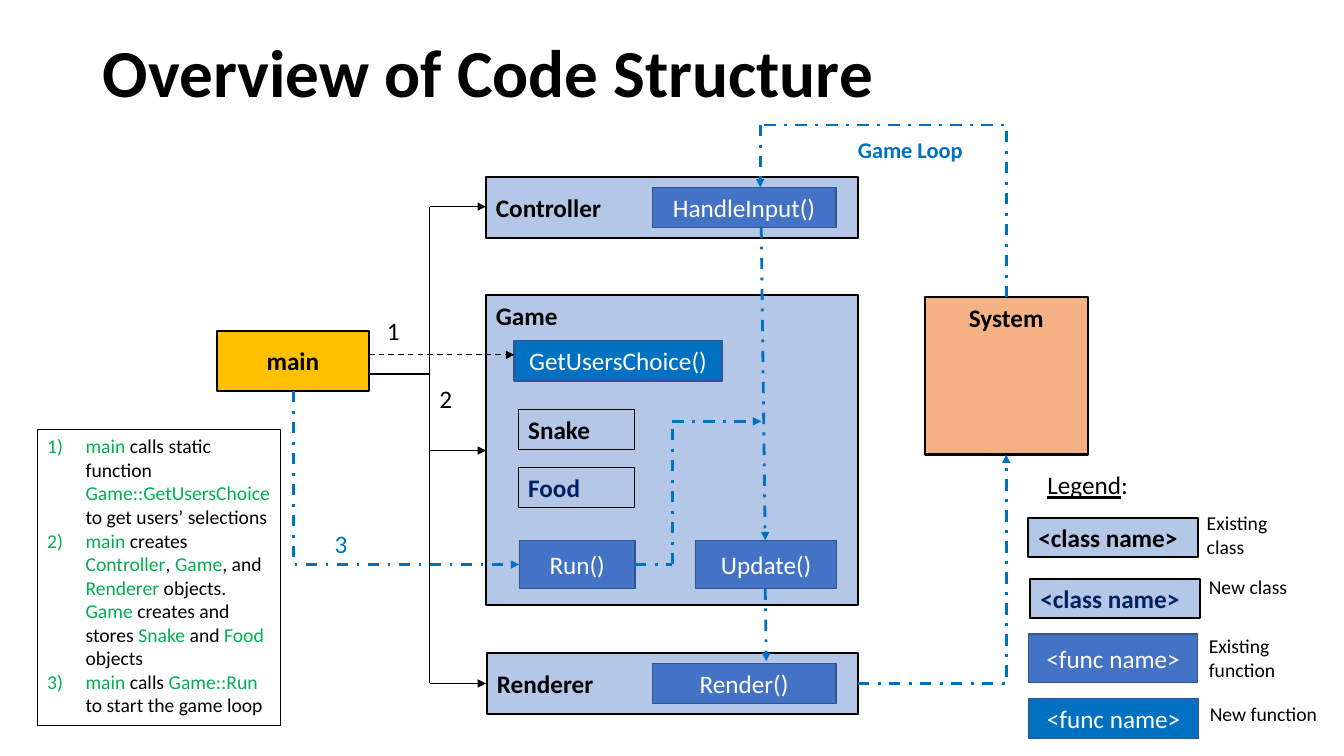
import dataclasses
import typing

import lxml.etree
import pptx
import pptx.dml.color
import pptx.enum.dml
import pptx.enum.shapes
import pptx.enum.text
import pptx.oxml.ns
import pptx.util

ALIGN = pptx.enum.text.PP_ALIGN
ANCHOR = pptx.enum.text.MSO_ANCHOR
DASH = pptx.enum.dml.MSO_LINE
SHAPE = pptx.enum.shapes.MSO_SHAPE.RECTANGLE
LINK = pptx.enum.shapes.MSO_CONNECTOR.STRAIGHT
Point = tuple[float, float]


@dataclasses.dataclass(frozen=True)
class Theme:
    font: str = "Calibri"
    black: str = "000000"
    white: str = "FFFFFF"
    navy: str = "002060"
    blue: str = "0070C0"
    royal: str = "4472C4"
    edge: str = "325491"
    pale: str = "B4C7E7"
    gold: str = "FFC000"
    peach: str = "F4B183"
    green: str = "00B050"
    title: int = 48
    body: int = 18
    loop: int = 16
    note: int = 14


THEME = Theme()


@dataclasses.dataclass(frozen=True)
class Look:
    fill: str | None = None
    edge: str | None = None
    weight: float = 1
    ink: str = THEME.black
    size: int = THEME.body
    bold: bool = False
    mid: bool = False
    center: bool = False
    grow: bool = False


@dataclasses.dataclass(frozen=True)
class Box:
    text: str
    place: tuple[float, float, float, float]  # inches
    look: Look


@dataclasses.dataclass(frozen=True)
class Wire:
    start: Point
    end: Point
    ink: str = THEME.black
    weight: float = 1
    dash: typing.Any = None
    arrow: bool = True
    bend: str = ""  # "across" or "upright": the way the first leg runs


# Looks shared by the boxes
PLAIN = Look(grow=True)
CLASS = Look(THEME.pale, THEME.black, 1.5, bold=True, mid=True)
FRESH = dataclasses.replace(CLASS, ink=THEME.navy)
FUNC = Look(THEME.royal, THEME.edge, ink=THEME.white, mid=True, center=True)
ADDED = dataclasses.replace(FUNC, fill=THEME.blue)
PART = Look(edge=THEME.black, weight=0.75, bold=True, grow=True)
LABEL = Look(size=THEME.note, grow=True)

BOXES = [
    Box("Overview of Code Structure", (0.92, 0.4, 11.5, 0.6),
        Look(size=THEME.title, bold=True, mid=True)),
    # Classes and their functions
    Box("main", (2.15, 3.28, 1.51, 0.6),
        dataclasses.replace(CLASS, fill=THEME.gold, center=True)),
    Box("Controller", (4.82, 1.76, 3.69, 0.6), CLASS),
    Box("HandleInput()", (6.47, 1.86, 1.82, 0.4), FUNC),
    Box("Game", (4.82, 2.93, 3.69, 3.07), dataclasses.replace(CLASS, mid=False)),
    Box("Renderer", (4.83, 6.48, 3.68, 0.6), CLASS),
    Box("Render()", (6.47, 6.58, 1.82, 0.4), FUNC),
    Box("Snake", (5.14, 4.06, 1.15, 0.4), PART),
    Box("Food", (5.14, 4.64, 1.15, 0.4), dataclasses.replace(PART, ink=THEME.navy)),
    Box("Run()", (5.15, 5.36, 1.15, 0.48), FUNC),
    Box("Update()", (6.9, 5.36, 1.4, 0.48), FUNC),
    Box("GetUsersChoice()", (5.1, 3.38, 2.06, 0.4), ADDED),
    Box("System", (9.17, 2.95, 1.62, 1.56),
        dataclasses.replace(CLASS, fill=THEME.peach, mid=False, center=True)),
    # Step numbers and loop name
    Box("1", (3.74, 3.08, 0.24, 0.4), PLAIN),
    Box("2", (4.26, 3.75, 0.2, 0.4), PLAIN),
    Box("3", (3.22, 5.19, 0.2, 0.4), dataclasses.replace(PLAIN, ink=THEME.blue)),
    Box("Game Loop", (8.41, 1.3, 1.43, 0.37),
        Look(ink=THEME.blue, size=THEME.loop, bold=True, grow=True)),
    # Legend
    Box("<class name>", (10.2, 5.14, 1.68, 0.39), CLASS),
    Box("Existing class", (11.87, 5.02, 1.08, 0.57), LABEL),
    Box("<class name>", (10.22, 5.74, 1.68, 0.39), FRESH),
    Box("New class", (11.89, 5.65, 1.08, 0.34), LABEL),
    Box("<func name>", (10.2, 6.29, 1.68, 0.48), FUNC),
    Box("Existing function", (11.89, 6.24, 1.08, 0.57), LABEL),
    Box("<func name>", (10.2, 6.93, 1.69, 0.4), ADDED),
    Box("New function", (11.9, 6.91, 1.29, 0.34), LABEL),
]

FLOW = {"ink": THEME.blue, "weight": 2, "dash": DASH.DASH_DOT}
TRUNK = 4.26
WIRES = [
    # Calls from main
    Wire((3.66, 3.52), (5.1, 3.52), dash=DASH.DASH),
    Wire((3.66, 3.71), (TRUNK, 3.71), arrow=False),
    Wire((TRUNK, 2.05), (TRUNK, 6.78), arrow=False),
    *(Wire((TRUNK, y), (4.82, y)) for y in (2.05, 4.47, 6.78)),
    # Game loop
    Wire((6.3, 5.6), (6.67, 5.6), arrow=False, **FLOW),
    Wire((6.67, 5.6), (6.67, 4.18), arrow=False, **FLOW),
    Wire((6.67, 4.18), (7.55, 4.18), **FLOW),
    Wire((7.55, 2.25), (7.59, 5.36), **FLOW),
    Wire((7.59, 5.84), (7.6, 6.56), **FLOW),
    Wire((8.51, 6.78), (9.98, 4.51), bend="across", **FLOW),
    Wire((9.98, 2.95), (7.54, 1.24), bend="upright", arrow=False, **FLOW),
    Wire((7.54, 1.24), (7.54, 1.86), **FLOW),
    Wire((2.91, 3.88), (5.15, 5.6), bend="upright", **FLOW),
]

# Steps: code words stand between bars
STEPS = [
    "|main| calls static function |Game::GetUsersChoice |to get users’ selections",
    "|main| creates |Controller|, |Game|, and |Renderer| objects. "
    "|Game| creates and stores |Snake| and |Food| objects",
    "|main| calls |Game::Run |to start the game loop",
]


def inch(size: float) -> int:
    return pptx.util.Cm(size * 2.54)


def tint(ink: str) -> pptx.dml.color.RGBColor:
    return pptx.dml.color.RGBColor.from_string(ink)


def style(thing: typing.Any, values: dict[str, typing.Any]) -> None:
    for name, value in values.items():
        setattr(thing, name, value)


def add_tag(host: typing.Any, tag: str, **marks: str) -> None:
    lxml.etree.SubElement(host, pptx.oxml.ns.qn(tag), marks)


def add_run(para: typing.Any, text: str, look: Look, **more: typing.Any) -> None:
    run = para.add_run()
    run.text = text
    style(run.font, {"name": THEME.font, "size": pptx.util.Pt(look.size),
                     "bold": look.bold, **more})
    run.font.color.rgb = tint(look.ink)


def add_box(slide: typing.Any, box: Box) -> typing.Any:
    look, place = box.look, [inch(size) for size in box.place]
    if look.edge:
        shape = slide.shapes.add_shape(SHAPE, *place)
        shape.shadow.inherit = False
        shape.line.color.rgb = tint(look.edge)
        shape.line.width = pptx.util.Pt(look.weight)
        if look.fill:
            shape.fill.solid()
            shape.fill.fore_color.rgb = tint(look.fill)
        else:
            shape.fill.background()
    else:
        shape = slide.shapes.add_textbox(*place)
    fit = pptx.enum.text.MSO_AUTO_SIZE
    style(shape.text_frame, {
        "word_wrap": True,
        "auto_size": fit.SHAPE_TO_FIT_TEXT if look.grow else fit.NONE,
        "vertical_anchor": ANCHOR.MIDDLE if look.mid else ANCHOR.TOP})
    para = shape.text_frame.paragraphs[0]
    para.alignment = ALIGN.CENTER if look.center else ALIGN.LEFT
    if box.text:
        add_run(para, box.text, look)
    return shape


def add_wire(slide: typing.Any, wire: Wire) -> None:
    ends = [wire.start, wire.end]
    if wire.bend == "upright":  # turn the frame a quarter about its centre
        mid_x, mid_y = (sum(axis) / 2 for axis in zip(*ends))
        ends = [(mid_x + mid_y - y, mid_y + x - mid_x) for x, y in ends]
    link = slide.shapes.add_connector(LINK, *(inch(n) for end in ends for n in end))
    props = link._element.spPr
    if wire.bend:
        props.find(pptx.oxml.ns.qn("a:prstGeom")).set("prst", "bentConnector2")
    if wire.bend == "upright":
        props.find(pptx.oxml.ns.qn("a:xfrm")).set("rot", str(270 * 60000))
    link.line.color.rgb = tint(wire.ink)
    style(link.line, {"width": pptx.util.Pt(wire.weight), "dash_style": wire.dash})
    if wire.arrow:
        add_tag(link.line._get_or_add_ln(), "a:tailEnd", type="triangle")
    add_tag(props, "a:effectLst")


def add_steps(slide: typing.Any) -> None:
    look = Look(THEME.white, THEME.black, size=THEME.note)
    code = dataclasses.replace(look, ink=THEME.green)
    frame = add_box(slide, Box("", (0.37, 4.26, 2.41, 2.94), look)).text_frame
    for rank, step in enumerate(STEPS):
        para = frame.add_paragraph() if rank else frame.paragraphs[0]
        para.alignment = ALIGN.LEFT
        props = para._p.get_or_add_pPr()
        style_marks = {"marL": inch(0.38), "indent": -inch(0.38)}
        for name, value in style_marks.items():
            props.set(name, str(value))
        add_tag(props, "a:buAutoNum", type="arabicParenR")
        for place, text in enumerate(step.split("|")):
            if text:
                add_run(para, text, code if place % 2 else look)


def main() -> None:
    deck = pptx.Presentation()
    style(deck, {"slide_width": inch(13.33), "slide_height": inch(7.5)})
    slide = deck.slides.add_slide(deck.slide_layouts[6])
    for box in BOXES:
        add_box(slide, box)
    for wire in WIRES:
        add_wire(slide, wire)
    add_steps(slide)
    # Legend heading
    head = add_box(slide, Box("", (10.29, 4.61, 1.96, 0.4), PLAIN))
    para = head.text_frame.paragraphs[0]
    add_run(para, "Legend", PLAIN, underline=True)
    add_run(para, ":", PLAIN)
    deck.save("out.pptx")


if __name__ == "__main__":
    main()
